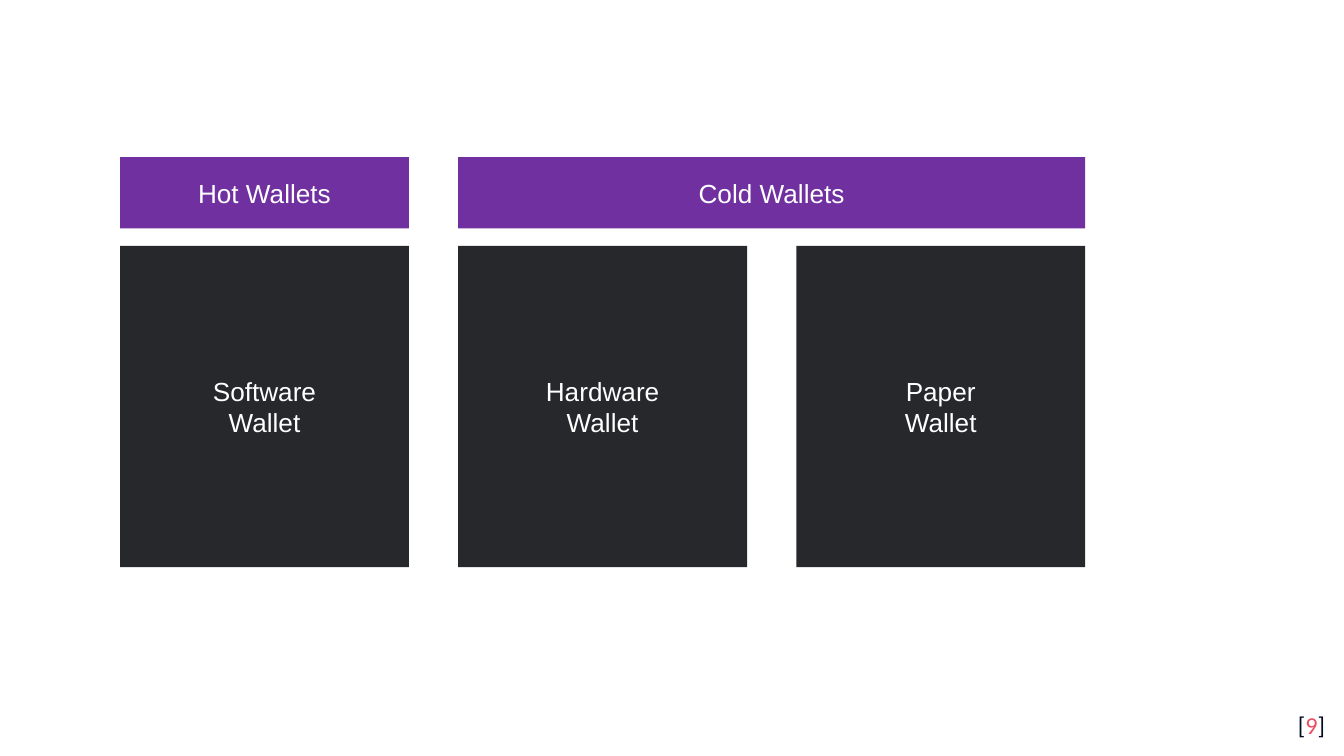
from dataclasses import dataclass

from pptx import Presentation
from pptx.dml.color import RGBColor
from pptx.enum.shapes import MSO_SHAPE as Shape
from pptx.enum.text import MSO_ANCHOR as Anchor, PP_ALIGN as Align
from pptx.util import Cm, Pt

PURPLE, CHARCOAL, WHITE = "7030A0", "27282C", "FFFFFF"
NAVY, CORAL = "040A24", "EA4E60"

LEFT, COLUMN_WIDTH, COLUMN_STEP = 2.27, 5.46, 6.39
HEADER_TOP, HEADER_HEIGHT = 2.97, 1.35
WALLET_TOP, WALLET_HEIGHT = 4.65, 6.07


@dataclass
class Block:
    lines: list[str]
    column: int
    span: int = 1


WALLETS = [
    Block(["Software", "Wallet"], 0),
    Block(["Hardware", "Wallet"], 1),
    Block(["Paper", "Wallet"], 2),
]
HEADERS = [Block(["Hot Wallets"], 0), Block(["Cold Wallets"], 1, span=2)]


def color(value: str) -> RGBColor:
    return RGBColor.from_string(value)


def draw_block(page, block: Block, top: float, height: float, fill: str) -> None:
    left = LEFT + block.column * COLUMN_STEP
    width = COLUMN_WIDTH + (block.span - 1) * COLUMN_STEP
    box = page.shapes.add_shape(Shape.RECTANGLE, Cm(left), Cm(top), Cm(width), Cm(height))
    box.shadow.inherit = False
    box.fill.solid()
    box.fill.fore_color.rgb = color(fill)
    box.line.fill.background()
    frame = box.text_frame
    frame.vertical_anchor = Anchor.MIDDLE
    frame.text = "\n".join(block.lines)
    for para in frame.paragraphs:
        para.alignment = Align.CENTER
        para.font.name = "Arial"
        para.font.size = Pt(14)
        para.font.color.rgb = color(WHITE)


def draw_page_number(page, number: str) -> None:
    box = page.shapes.add_textbox(Cm(23.77), Cm(13.18), Cm(1.52), Cm(1.09))
    frame = box.text_frame
    frame.word_wrap = True
    frame.margin_left = frame.margin_right = Cm(0.25)
    frame.margin_top = frame.margin_bottom = Cm(0.25)
    para = frame.paragraphs[0]
    para.alignment = Align.RIGHT
    para.font.name = "Calibri"
    para.font.size = Pt(13)
    for text, tint in (("[", NAVY), (number, CORAL), ("]", NAVY)):
        span = para.add_run()
        span.text = text
        span.font.color.rgb = color(tint)


def main() -> None:
    deck = Presentation()
    deck.slide_width, deck.slide_height = Cm(25.4), Cm(14.29)
    page = deck.slides.add_slide(deck.slide_layouts[6])
    draw_page_number(page, "9")
    for wallet in WALLETS:
        draw_block(page, wallet, WALLET_TOP, WALLET_HEIGHT, CHARCOAL)
    for header in HEADERS:
        draw_block(page, header, HEADER_TOP, HEADER_HEIGHT, PURPLE)
    deck.save("out.pptx")


if __name__ == "__main__":
    main()
